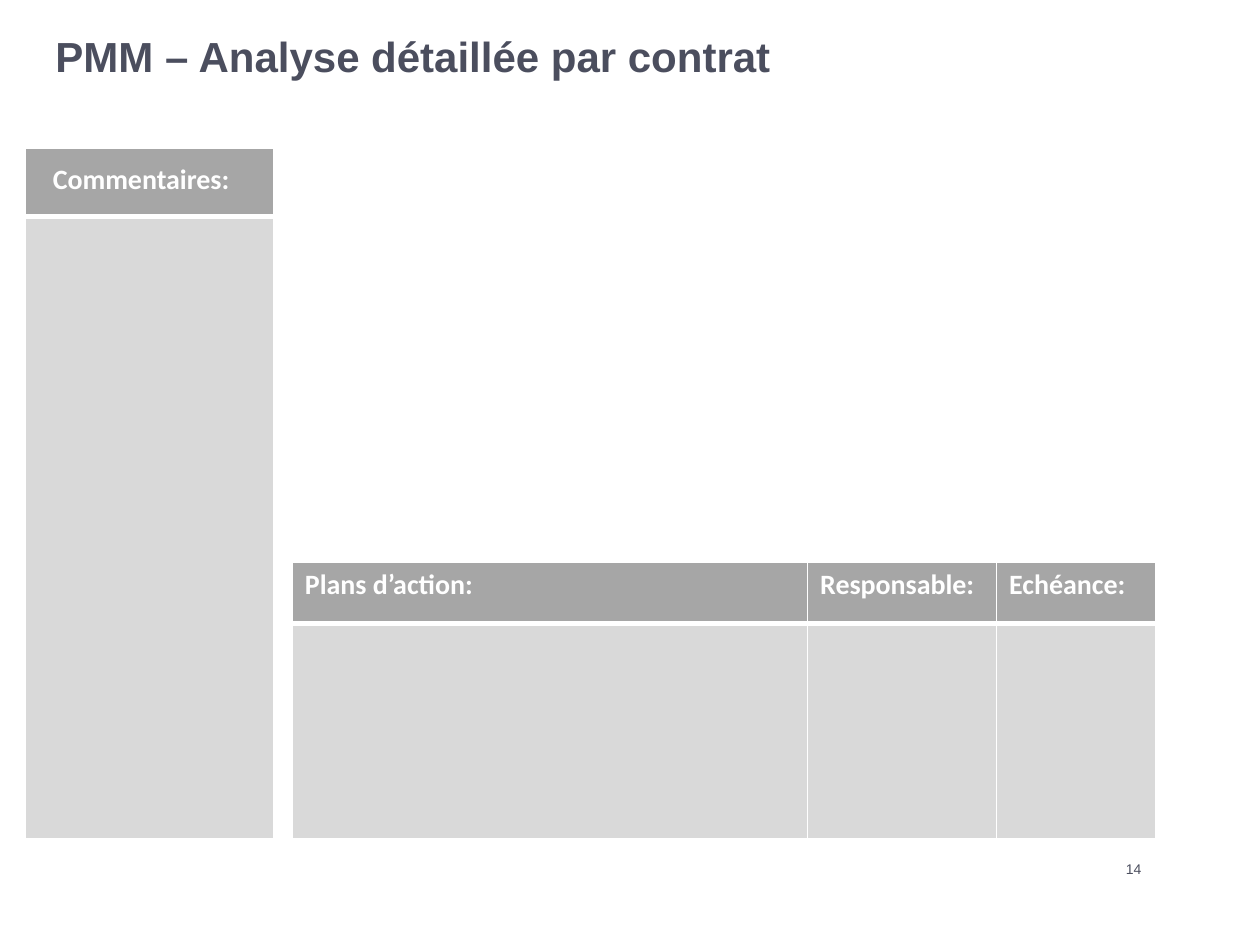
from lxml import etree
from pptx import Presentation
from pptx.dml.color import RGBColor
from pptx.enum import text
from pptx.oxml.ns import qn
from pptx.util import Inches, Pt

INK, WHITE, HEADER, BODY = "4B4E5E", "FFFFFF", "A6A6A6", "D9D9D9"


def rgb(value):
    return RGBColor.from_string(value)


def set_font(p, name, size, color, bold=False):
    p.font.name = name
    p.font.size = Pt(size)
    p.font.bold = bold
    p.font.color.rgb = rgb(color)


def add_text(slide, content, left, top, width, height, size, bold=False,
             align=text.PP_ALIGN.LEFT):
    sp = slide.shapes.add_textbox(Inches(left), Inches(top),
                                  Inches(width), Inches(height))
    tf = sp.text_frame
    tf.word_wrap = True
    tf.margin_left = tf.margin_top = tf.margin_right = tf.margin_bottom = 0
    p = tf.paragraphs[0]
    p.text = content
    p.alignment = align
    set_font(p, "Arial", size, INK, bold)


def set_borders(cell, bottom):
    """White cell borders; they must come before the fill in tcPr."""
    tc_pr = cell._tc.get_or_add_tcPr()
    widths = {"a:lnL": 1, "a:lnR": 1, "a:lnT": 1, "a:lnB": bottom}
    for i, (tag, width) in enumerate(widths.items()):
        ln = etree.Element(qn(tag), w=str(Pt(width)))
        fill = etree.SubElement(ln, qn("a:solidFill"))
        etree.SubElement(fill, qn("a:srgbClr"), val=WHITE)
        tc_pr.insert(i, ln)


def style_cell(cell, fill, bottom):
    cell.fill.solid()
    cell.fill.fore_color.rgb = rgb(fill)
    set_borders(cell, bottom)


def add_panel(slide, left, top, headings, widths, heights, margins=(0.1, 0.05)):
    """Table with a heading row above one empty row to fill in."""
    table = slide.shapes.add_table(
        2, len(headings), Inches(left), Inches(top),
        Inches(sum(widths)), Inches(sum(heights))).table
    for row, height in zip(table.rows, heights):
        row.height = Inches(height)
    for i, (heading, width) in enumerate(zip(headings, widths)):
        table.columns[i].width = Inches(width)
        head = table.cell(0, i)
        head.margin_left = head.margin_right = Inches(margins[0])
        head.margin_top = head.margin_bottom = Inches(margins[1])
        head.text = heading
        set_font(head.text_frame.paragraphs[0], "Calibri", 16, WHITE, True)
        style_cell(head, HEADER, 3)
        style_cell(table.cell(1, i), BODY, 1)
        # The line between the rows is the thick one on both sides
        table.cell(1, i)._tc.tcPr.find(qn("a:lnT")).set("w", str(Pt(3)))


def main():
    prs = Presentation()
    prs.slide_width, prs.slide_height = Inches(10), Inches(7.5)
    slide = prs.slides.add_slide(prs.slide_layouts[6])

    # Title and page number
    add_text(slide, "PMM – Analyse détaillée par contrat",
             0.44, 0.24, 8.18, 0.56, 24, bold=True)
    add_text(slide, "14", 8.62, 6.83, 0.44, 0.13, 8,
             align=text.PP_ALIGN.RIGHT)

    # Comments column and action plan
    add_panel(slide, 0.2, 1.18, ["Commentaires:"], [1.97], [0.54, 4.94],
              margins=(0.22, 0.11))
    add_panel(slide, 2.32, 4.46,
              ["Plans d’action:", "Responsable:", "Echéance:"],
              [4.09, 1.5, 1.26], [0.49, 1.71])

    prs.save("out.pptx")


if __name__ == "__main__":
    main()
